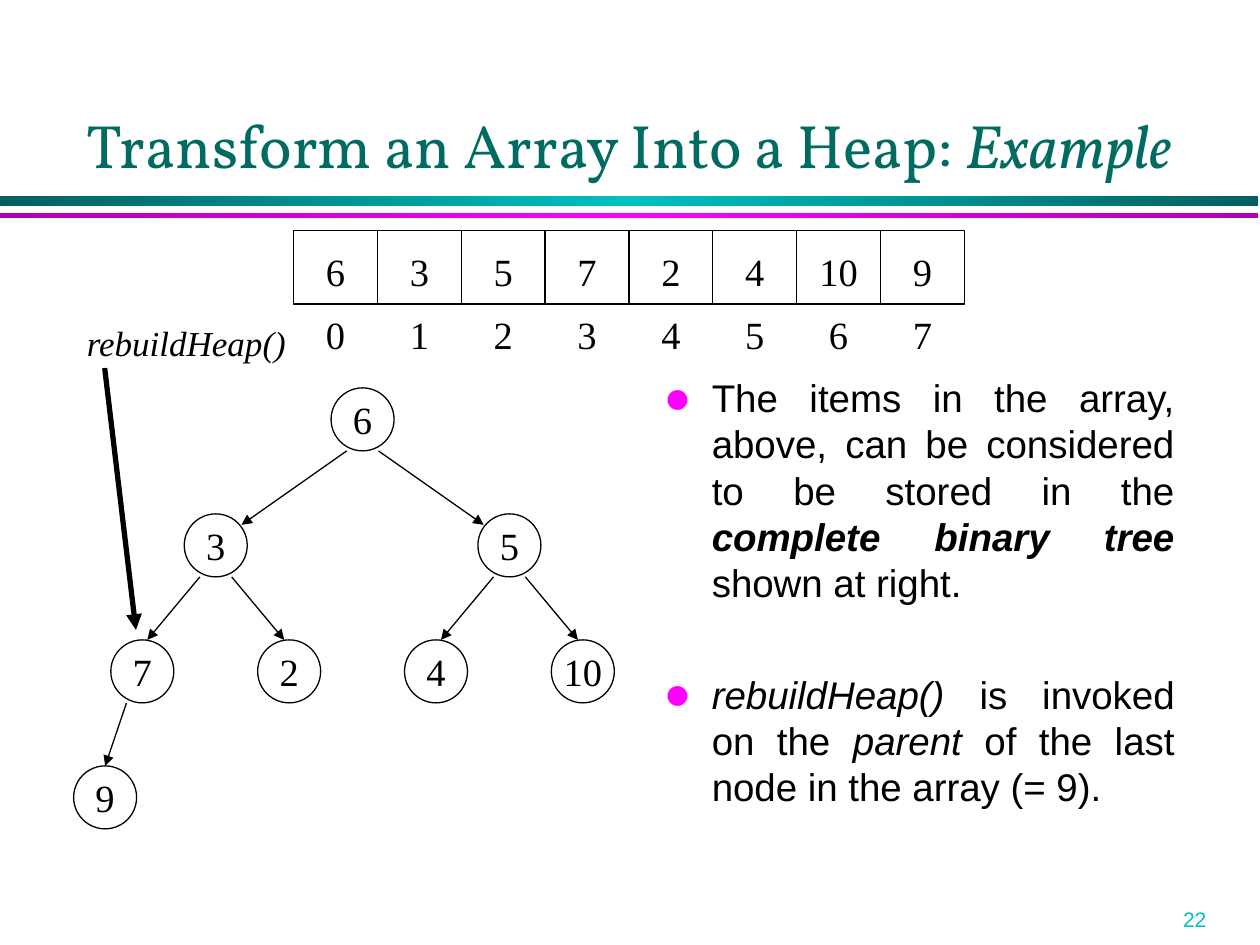
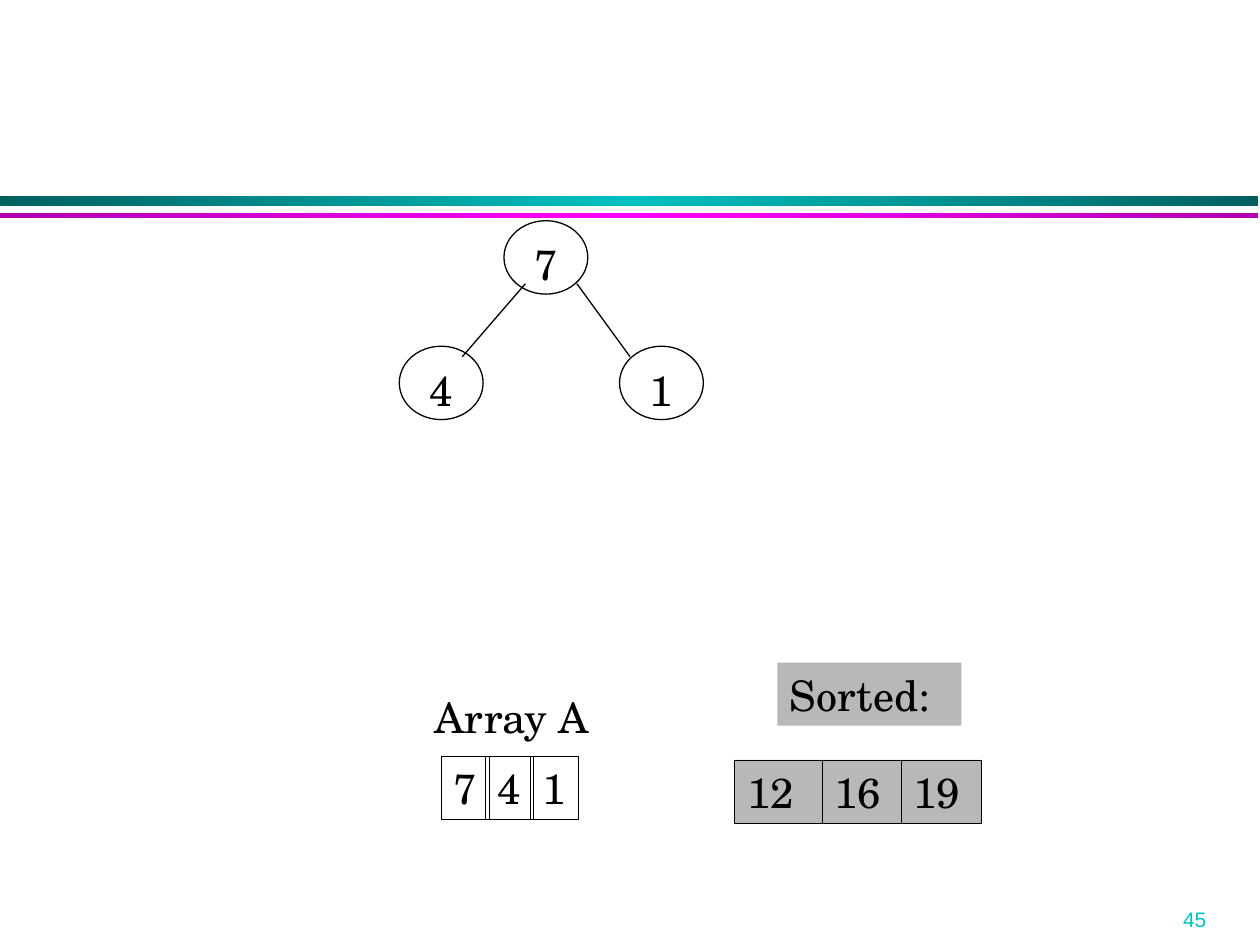
"""Builds two heap slides: turning an array into a heap, and a step of heapsort."""
from copy import deepcopy

from lxml.etree import SubElement
from pptx import Presentation
from pptx.dml.color import RGBColor
from pptx.enum.shapes import MSO_CONNECTOR, MSO_SHAPE
from pptx.enum.text import MSO_ANCHOR, MSO_AUTO_SIZE, PP_ALIGN
from pptx.oxml.ns import qn
from pptx.util import Cm, Pt

COLOURS = {
    "ink": "000000",
    "title": "006B61",
    "number": "00C0C0",
    "teal_edge": "006060",
    "teal": "00C0C0",
    "magenta_edge": "B200B2",
    "magenta": "FF00FF",
    "sorted": "B8B8B8",
}
SANS, SERIF, SCHOOL, HEADING = "Arial", "Times New Roman", "TeX Gyre Schola", "Vollkorn"
TITLE_ONLY, BLANK = 5, 6


def colour(name):
    return RGBColor.from_string(COLOURS[name])


class Page:
    """One slide in the shared style, with a method for each kind of element."""

    def __init__(self, deck, number, font, size, title=None):
        self.slide = deck.slides.add_slide(deck.slide_layouts[BLANK if title is None else TITLE_ONLY])
        self.font, self.size = font, size
        self.band(3.96, 0.2, "teal_edge", "teal")
        self.band(4.29, 0.1, "magenta_edge", "magenta")
        self.text((23.6, 18.14, 1.6, 0.76), str(number), font=SANS, size=12, ink="number")
        if title:
            self.title(title)

    def band(self, top, height, edge, middle):
        band = self.shape(MSO_SHAPE.RECTANGLE, (0, top, 25.37, height), line=None)
        band.fill.gradient()
        band.fill.gradient_angle = 0
        stops = band.element.find(".//" + qn("a:gsLst"))
        stops.append(deepcopy(stops[0]))
        for stop, name, position in zip(band.fill.gradient_stops, (edge, middle, edge), (0, 0.5, 1)):
            stop.color.rgb = colour(name)
            stop.position = position

    def title(self, spans):
        box = self.slide.shapes.title
        box.left, box.top, box.width, box.height = map(Cm, (1.04, 1.04, 23.29, 2.74))
        frame = box.text_frame
        frame.auto_size = MSO_AUTO_SIZE.NONE
        frame.vertical_anchor = MSO_ANCHOR.BOTTOM
        para = frame.paragraphs[0]
        para.alignment = PP_ALIGN.CENTER
        self.spans(para, spans, HEADING, 35, "title")

    def spans(self, para, spans, font=None, size=None, ink="ink"):
        for words, style in spans:
            span = para.add_run()
            span.text = words
            span.font.name = font or self.font
            span.font.size = Pt(size or self.size)
            span.font.color.rgb = colour(ink)
            span.font.bold = "b" in style
            span.font.italic = "i" in style

    def fill_text(self, box, text, align=PP_ALIGN.LEFT, anchor=MSO_ANCHOR.TOP,
                  wrap=False, style="", inset_top=0.13, inset_side=0.25, **look):
        frame = box.text_frame
        frame.word_wrap = wrap
        frame.vertical_anchor = anchor
        frame.margin_left = frame.margin_right = Cm(inset_side)
        frame.margin_top, frame.margin_bottom = Cm(inset_top), Cm(0.13)
        para = frame.paragraphs[0]
        para.alignment = align
        self.spans(para, [(text, style)], **look)

    def text(self, place, text, **look):
        self.fill_text(self.slide.shapes.add_textbox(*map(Cm, place)), text, **look)

    def shape(self, kind, place, text=None, fill=None, line=0.75, **look):
        shape = self.slide.shapes.add_shape(kind, *map(Cm, place))
        shape.shadow.inherit = False
        if fill:
            shape.fill.solid()
            shape.fill.fore_color.rgb = colour(fill)
        else:
            shape.fill.background()
        if line:
            shape.line.color.rgb = colour("ink")
            shape.line.width = Pt(line)
        else:
            shape.line.fill.background()
        if text:
            self.fill_text(shape, text, **look)
        return shape

    def centred(self, kind, place, text, inset_top=0.13, **look):
        self.shape(kind, place, text, align=PP_ALIGN.CENTER, anchor=MSO_ANCHOR.MIDDLE,
                   inset_top=inset_top, inset_side=0, **look)

    def line(self, start, end, width=0.75, arrow=False):
        line = self.slide.shapes.add_connector(MSO_CONNECTOR.STRAIGHT, *map(Cm, (*start, *end)))
        line.line.color.rgb = colour("ink")
        line.line.width = Pt(width)
        if arrow:
            SubElement(line.line._get_or_add_ln(), qn("a:tailEnd"), type="triangle")
        SubElement(line.element.spPr, qn("a:effectLst"))

    def bullets(self, place, items, gap):
        frame = self.slide.shapes.add_textbox(*map(Cm, place)).text_frame
        frame.word_wrap = True
        for index, spans in enumerate(items):
            para = frame.add_paragraph() if index else frame.paragraphs[0]
            properties = para._p.get_or_add_pPr()
            properties.set("marL", str(Cm(0.97)))
            properties.set("indent", str(Cm(-0.97)))
            bullet_colour = SubElement(properties, qn("a:buClr"))
            SubElement(bullet_colour, qn("a:srgbClr"), val=COLOURS["magenta"])
            SubElement(properties, qn("a:buSzPct"), val="120000")
            SubElement(properties, qn("a:buFont"), typeface=SANS)
            SubElement(properties, qn("a:buChar"), char="●")
            para.alignment = PP_ALIGN.JUSTIFY
            para.space_before = Pt(gap if index else 0)
            self.spans(para, spans, SANS)


def draw_array(page, values):
    left, top, width, height = 5.92, 4.65, 1.69, 1.48
    for index, value in enumerate(values):
        x = left + index * width
        page.centred(MSO_SHAPE.RECTANGLE, (x, top, width, height), str(value), inset_top=0.3)
        page.text((x, 6.15, width, 1.19), str(index), align=PP_ALIGN.CENTER)


def draw_tree(page, values):
    size, top, row_step = 1.27, 7.82, 2.54
    leaves = [2.87 + 2.96 * index for index in range(4)]
    middles = [(leaves[0] + leaves[1]) / 2, (leaves[2] + leaves[3]) / 2]
    centres = [sum(middles) / 2, *middles, *leaves, leaves[0] - 0.75]
    end_offsets = {1: (0.52, 0.22), 2: (0.1, 0), 3: (0, 0)}
    for index, (value, x) in enumerate(zip(values, centres)):
        level = (index + 1).bit_length() - 1
        y = top + level * row_step
        page.centred(MSO_SHAPE.OVAL, (x - size / 2, y, size, size), str(value))
        if index:
            side = -1 if index % 2 else 1
            across, down = end_offsets[level]
            start = centres[(index - 1) // 2] + side * 0.32, y - row_step + size
            page.line(start, (x - side * across, y + down), arrow=True)


def build_transform(deck):
    page = Page(deck, 22, SERIF, 22, [("Transform an Array Into a Heap: ", ""), ("Example", "i")])
    page.bullets((13.13, 7.42, 10.8, 10.16), [
        [("The items in the array, above, can be considered to be stored in the ", ""),
         ("complete binary tree ", "bi"), ("shown at right.", "")],
        [("rebuildHeap() ", "i"), ("is invoked on the ", ""), ("parent", "i"),
         (" of the last node in the array (= 9).", "")],
    ], gap=37.5)
    values = [6, 3, 5, 7, 2, 4, 10, 9]
    draw_tree(page, values)
    draw_array(page, values)
    page.text((1.5, 6.35, 4.55, 1.12), "rebuildHeap()", size=20, style="i", anchor=MSO_ANCHOR.MIDDLE)
    page.line((2.11, 7.42), (2.74, 12.7), width=3, arrow=True)


def build_sorting(deck):
    page = Page(deck, 45, SCHOOL, 24)
    for value, x, y in (("7", 10.16, 4.45), ("4", 8.05, 6.98), ("1", 12.49, 6.98)):
        page.centred(MSO_SHAPE.OVAL, (x, y, 1.69, 1.48), value, inset_top=0.4)
    page.line((10.59, 5.72), (9.32, 7.19))
    page.line((11.63, 5.72), (12.7, 7.19))

    page.text((8.51, 13.82, 3.63, 1.27), "Array A")
    for index, value in enumerate("741"):
        page.centred(MSO_SHAPE.RECTANGLE, (8.9 + 0.89 * index, 15.25, 0.97, 1.27), value, line=0.25)

    page.shape(MSO_SHAPE.RECTANGLE, (15.67, 13.36, 3.71, 1.27), "Sorted:", fill="sorted", line=None)
    x = 14.81
    for value, width in (("12", 1.76), ("16", 1.59), ("19", 1.63)):
        page.shape(MSO_SHAPE.RECTANGLE, (x, 15.32, width, 1.27), value, fill="sorted", line=0.25)
        x += width


def main():
    deck = Presentation()
    deck.slide_width, deck.slide_height = Cm(25.4), Cm(19.05)
    build_transform(deck)
    build_sorting(deck)
    deck.save("out.pptx")


if __name__ == "__main__":
    main()
